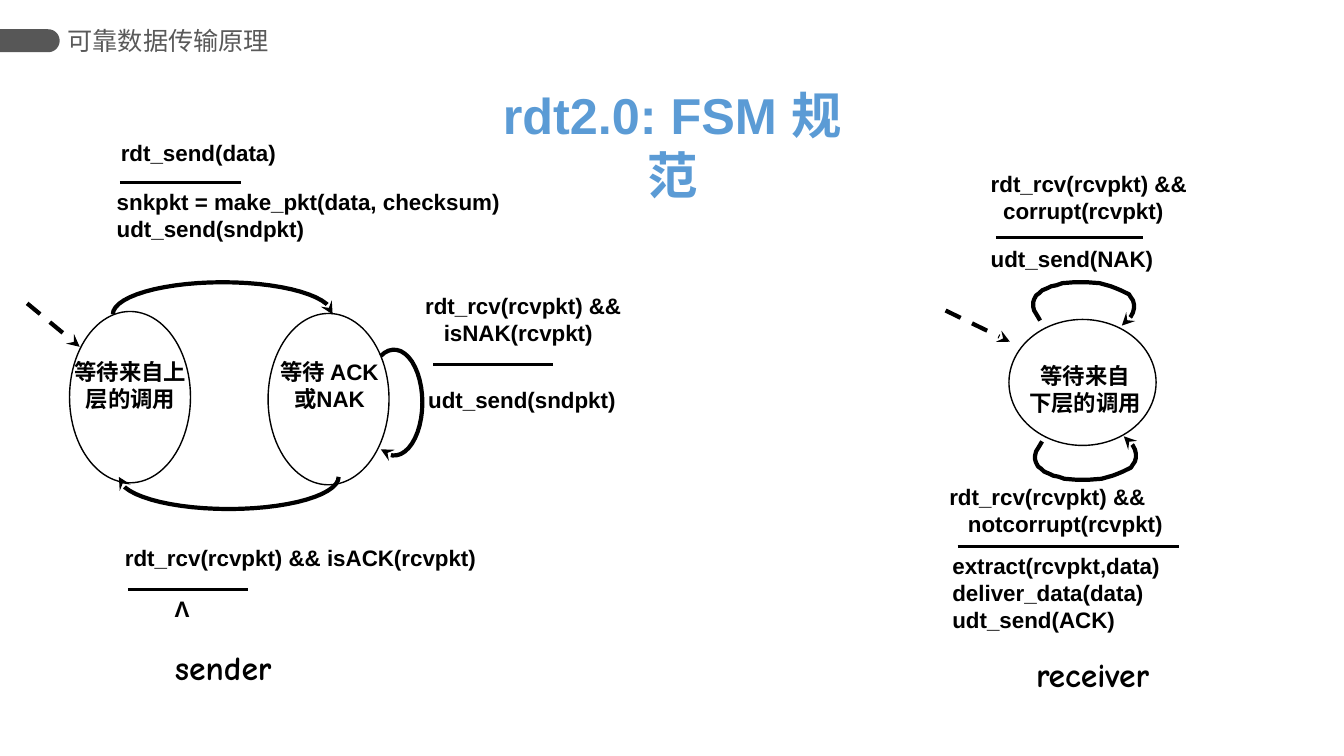
import math

import pptx
import pptx.dml.color
import pptx.enum.dml
import pptx.enum.shapes
import pptx.enum.text
import pptx.oxml
import pptx.oxml.ns
import pptx.util

Pt = pptx.util.Pt
ALIGN = pptx.enum.text.PP_ALIGN
ANCHOR = pptx.enum.text.MSO_ANCHOR

COLOURS = {
    "ink": "000000",
    "paper": "FFFFFF",
    "tab": "575757",
    "header": "595959",
    "title": "5B9BD5",
}

# Clockwise self-loop above the receiver state
RECEIVER_LOOP = [
    (743, 229), (740.9, 225.4), (738.7, 221.8), (738, 218.9), (738, 216),
    (738.7, 213.8), (740.2, 211), (742.3, 209.5), (744.5, 207.4), (748.1, 205.9),
    (751, 204.5), (754.6, 203.8), (758.9, 202.3), (767.5, 201.6), (776.2, 201.6),
    (785.5, 202.3), (793.4, 204.5), (797, 205.9), (800.6, 207.4), (803.5, 208.8),
    (806.4, 210.2), (807.8, 212.4), (809.3, 214.6), (810, 217.4), (810, 220.3),
    (809.3, 223.2), (807.8, 226.1), (805, 229.7), (801.4, 232.6),
]


def rgb(name):
    return pptx.dml.color.RGBColor.from_string(COLOURS[name])


def arc(centre_x, centre_y, radius_x, radius_y, start, end, steps=28):
    """Points along an ellipse; degrees run clockwise from the right."""
    angles = [math.radians(start + (end - start) * i / steps) for i in range(steps + 1)]
    return [(centre_x + radius_x * math.cos(a), centre_y + radius_y * math.sin(a))
            for a in angles]


def add_arrowhead(shape):
    tail = pptx.oxml.parse_xml(
        f'<a:tailEnd {pptx.oxml.ns.nsdecls("a")} type="stealth"/>')
    shape.line._get_or_add_ln().append(tail)


def add_outline(slide, points, close):
    (x, y), *rest = [(Pt(x), Pt(y)) for x, y in points]
    builder = slide.shapes.build_freeform(x, y)
    builder.add_line_segments(rest, close=close)
    shape = builder.convert_to_shape()
    shape.shadow.inherit = False
    return shape


def add_header_tab(slide):
    outline = [(0, 20.9), *arc(34.4, 29.1, 8.2, 8.2, -90, 90), (0, 37.3)]
    tab = add_outline(slide, outline, close=True)
    tab.fill.solid()
    tab.fill.fore_color.rgb = rgb("tab")
    tab.line.fill.background()


def add_transition(slide, points):
    curve = add_outline(slide, points, close=False)
    curve.fill.background()
    curve.line.color.rgb = rgb("ink")
    curve.line.width = Pt(3)
    add_arrowhead(curve)


def add_line(slide, x1, y1, x2, y2, width=2):
    line = slide.shapes.add_connector(
        pptx.enum.shapes.MSO_CONNECTOR.STRAIGHT, Pt(x1), Pt(y1), Pt(x2), Pt(y2))
    line.line.color.rgb = rgb("ink")
    line.line.width = Pt(width)
    line._element.spPr.append(
        pptx.oxml.parse_xml(f'<a:effectLst {pptx.oxml.ns.nsdecls("a")}/>'))
    return line


def add_start_arrow(slide, x1, y1, x2, y2):
    arrow = add_line(slide, x1, y1, x2, y2, width=3)
    arrow.line.dash_style = pptx.enum.dml.MSO_LINE.DASH
    add_arrowhead(arrow)


def add_state(slide, left, top, width, height):
    state = slide.shapes.add_shape(
        pptx.enum.shapes.MSO_SHAPE.OVAL, Pt(left), Pt(top), Pt(width), Pt(height))
    state.shadow.inherit = False
    state.fill.solid()
    state.fill.fore_color.rgb = rgb("paper")
    state.line.color.rgb = rgb("ink")
    state.line.width = Pt(1)


def add_text(slide, left, top, width, height, lines, size=16, font="Arial",
             colour="ink", bold=True, align=ALIGN.LEFT, wrap=True, inset=7.2,
             anchor=ANCHOR.TOP, second_indent=0):
    box = slide.shapes.add_textbox(Pt(left), Pt(top), Pt(width), Pt(height))
    frame = box.text_frame
    frame.word_wrap = wrap
    frame.vertical_anchor = anchor
    frame.margin_left = frame.margin_right = Pt(inset)
    frame.margin_top = frame.margin_bottom = Pt(3.6)
    frame.text = "\n".join(lines)
    for index, paragraph in enumerate(frame.paragraphs):
        if index and second_indent:
            properties = paragraph._p.get_or_add_pPr()
            properties.set("marL", str(Pt(second_indent)))
            properties.set("indent", "0")
        paragraph.alignment = align
        paragraph.font.size = Pt(size)
        paragraph.font.name = font
        paragraph.font.bold = bold
        paragraph.font.color.rgb = rgb(colour)


def add_role(slide, left, top, width, role):
    add_text(slide, left, top, width, 36, [role], size=24, font="Comic Neue",
             align=ALIGN.CENTER, wrap=False)


def add_sender(slide):
    add_state(slide, 49.7, 222.5, 86.4, 122.4)
    add_text(slide, 41, 252.5, 104.4, 57.6, ["等待来自上层的调用"], align=ALIGN.CENTER)
    add_state(slide, 191.5, 223.9, 86.4, 122.4)
    add_text(slide, 188.6, 252.5, 93.6, 57.6, ["等待 ACK 或NAK"], align=ALIGN.CENTER)
    add_start_arrow(slide, 19.4, 216.7, 56.9, 247.7)

    add_transition(slide, arc(159.1, 224.6, 78.5, 23, 180, 360))
    add_text(slide, 79.2, 95.8, 195.8, 54.7, ["rdt_send(data)"])
    add_line(slide, 85.7, 130.3, 172.1, 130.3)
    add_text(slide, 76.3, 131, 316.8, 50.4,
             ["snkpkt = make_pkt(data, checksum)", "udt_send(sndpkt)"])

    add_transition(slide, arc(281.5, 287.6, 20.2, 37.8, -118, 118))
    add_text(slide, 296.6, 205.2, 181.4, 61,
             ["rdt_rcv(rcvpkt) &&", "isNAK(rcvpkt)"], second_indent=13.3)
    add_line(slide, 309.6, 260.6, 395.3, 260.6)
    add_text(slide, 298.8, 272.2, 153.4, 50.4, ["udt_send(sndpkt)"])

    add_transition(slide, arc(163.4, 340.6, 78.5, 23, 0, 180))
    add_text(slide, 82.1, 385.2, 308.2, 36, ["rdt_rcv(rcvpkt) && isACK(rcvpkt)"])
    add_line(slide, 91.4, 421.2, 177.1, 421.2)
    add_text(slide, 117.4, 421.9, 25.2, 26.6, ["Λ"], align=ALIGN.CENTER, wrap=False)
    add_role(slide, 113.8, 458.6, 91.4, "sender")


def add_receiver(slide):
    add_state(slide, 720.7, 228.2, 105.1, 90)
    add_text(slide, 711.4, 255.4, 127.4, 50.4, ["等待来自", "下层的调用"],
             align=ALIGN.CENTER)
    add_start_arrow(slide, 675.4, 221.8, 721.4, 244.1)

    add_transition(slide, RECEIVER_LOOP)
    add_text(slide, 700.6, 118.1, 204.5, 46,
             ["rdt_rcv(rcvpkt) &&", "corrupt(rcvpkt)"], second_indent=8.9)
    add_line(slide, 711.4, 169.9, 816.5, 169.9)
    add_text(slide, 700.6, 171.4, 194.4, 23.8, ["udt_send(NAK)"])

    add_transition(slide, [(x + 1.4, 544.3 - y) for x, y in RECEIVER_LOOP])
    add_text(slide, 671, 341.3, 229.7, 65.5,
             ["rdt_rcv(rcvpkt) &&", "notcorrupt(rcvpkt)"], second_indent=13.3)
    add_line(slide, 684, 390.2, 842.4, 390.2)
    add_text(slide, 673.2, 391, 227.5, 57.6,
             ["extract(rcvpkt,data)", "deliver_data(data)", "udt_send(ACK)"])
    add_role(slide, 726.5, 463.7, 108, "receiver")


def main():
    deck = pptx.Presentation()
    deck.slide_width, deck.slide_height = Pt(960), Pt(540)
    slide = deck.slides.add_slide(deck.slide_layouts[6])
    add_header_tab(slide)
    add_text(slide, 48.2, 13.7, 167.8, 30.2, ["可靠数据传输原理"], size=18,
             colour="header", bold=False, inset=0, anchor=ANCHOR.MIDDLE)
    add_text(slide, 343.4, 56.2, 273.6, 94, ["rdt2.0: FSM 规范"], size=36,
             colour="title", align=ALIGN.CENTER)
    add_sender(slide)
    add_receiver(slide)
    deck.save("out.pptx")


if __name__ == "__main__":
    main()
